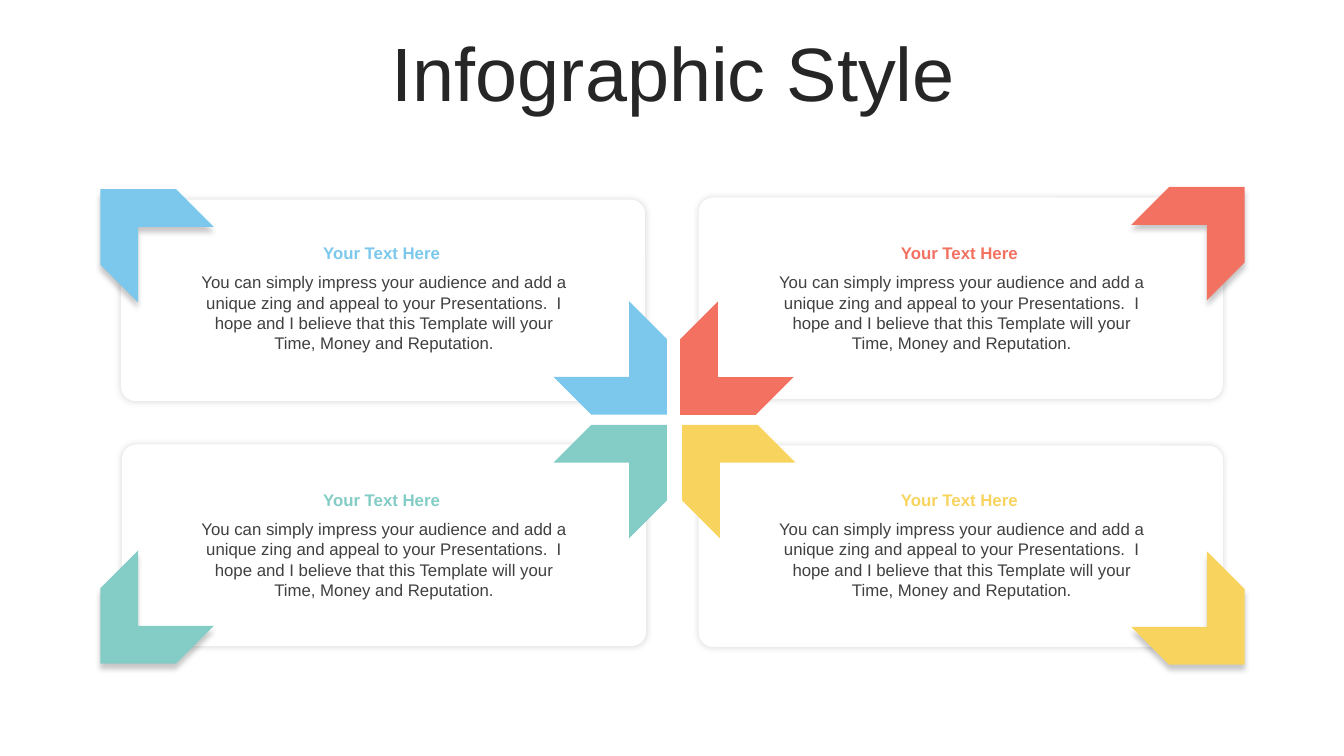
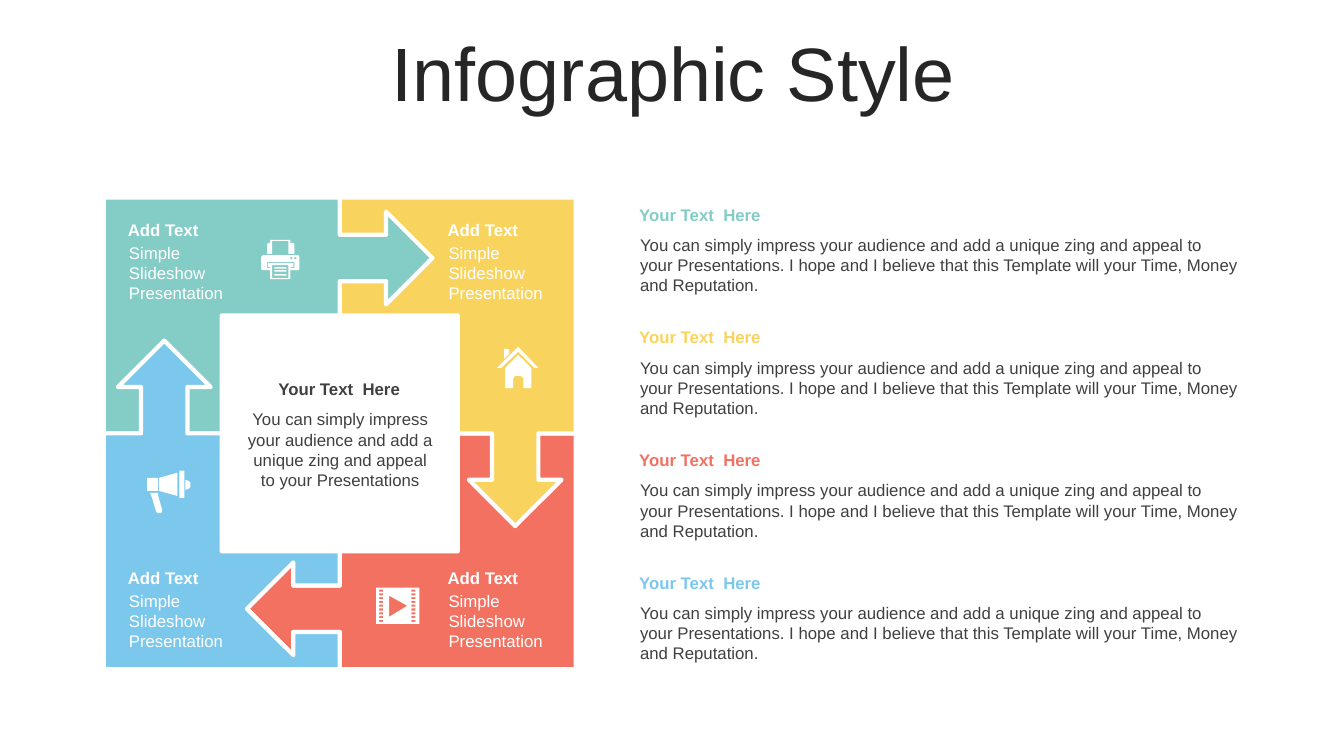
"""Build two infographic slides: four framed cards and a cycle of four arrows."""
from lxml import etree
from pptx import Presentation
from pptx.dml.color import RGBColor
from pptx.enum import shapes, text
from pptx.oxml import ns
from pptx.util import Inches, Pt

FONT = "Arial"
WHITE = RGBColor(0xFF, 0xFF, 0xFF)
TITLE_GRAY = RGBColor(0x26, 0x26, 0x26)
TEXT_GRAY = RGBColor(0x40, 0x40, 0x40)
TEAL = RGBColor(0x84, 0xCC, 0xC6)
BLUE = RGBColor(0x7C, 0xC8, 0xEC)
RED = RGBColor(0xF2, 0x71, 0x61)
YELLOW = RGBColor(0xF8, 0xD4, 0x5E)
LEFT, CENTER = text.PP_ALIGN.LEFT, text.PP_ALIGN.CENTER


def add_text(slide, box, content, color, size=12, bold=False, align=LEFT):
    """Add a wrapped one-paragraph text box and return it."""
    shape = slide.shapes.add_textbox(*map(Inches, box))
    shape.text_frame.word_wrap = True
    paragraph = shape.text_frame.paragraphs[0]
    paragraph.alignment = align
    run = paragraph.add_run()
    run.text = content
    run.font.name, run.font.size, run.font.bold = FONT, Pt(size), bold
    run.font.color.rgb = color
    return shape


def add_outline(slide, contours, fill):
    """Add one filled freeform made of closed contours given in inches."""
    builder = None
    for contour in contours:
        points = [(Inches(x), Inches(y)) for x, y in contour]
        if builder is None:
            builder = slide.shapes.build_freeform(*points[0])
        else:
            builder.move_to(*points[0])
        builder.add_line_segments(points[1:], close=True)
    shape = builder.convert_to_shape()
    shape.shadow.inherit = False
    shape.fill.solid()
    shape.fill.fore_color.rgb = fill
    shape.line.fill.background()
    return shape


presentation = Presentation()
presentation.slide_width, presentation.slide_height = Inches(13.33), Inches(7.5)
slides = [presentation.slides.add_slide(presentation.slide_layouts[6]) for _ in range(2)]
for slide in slides:
    title = add_text(slide, (0.35, 0.37, 12.66, 0.79), "Infographic Style", TITLE_GRAY, 54, align=CENTER)
    title.text_frame.vertical_anchor = text.MSO_ANCHOR.MIDDLE
    title.text_frame.paragraphs[0].line_spacing = 0.9
cards_slide, cycle_slide = slides

CARD_TEXT = ("You can simply impress your audience and add a unique zing and appeal to your "
             "Presentations.  I hope and I believe that this Template will your Time, Money and Reputation.")
CARD_SHADOW = (14, 5, 0, 0)
CORNER_SHADOW = (22, 4, 4, 90)
CHEVRON = 1.06
cards = [
    (TEAL, (1.21, 4.41), (5.71, 4.06), (0.84, 5.68), 315, (1.87, 5.1)),
    (BLUE, (1.2, 1.98), (5.71, 3.21), (0.84, 1.72), 45, (1.87, 2.65)),
    (RED, (6.93, 1.96), (6.59, 3.21), (11.44, 1.7), 135, (7.6, 2.65)),
    (YELLOW, (6.93, 4.42), (6.61, 4.06), (11.44, 5.69), 225, (7.6, 5.1)),
]
for color, card, inner, outer, angle, (text_left, text_top) in cards:
    parts = [
        (shapes.MSO_SHAPE.ROUNDED_RECTANGLE, (*card, 5.2, 2), 0.073, 0, WHITE, CARD_SHADOW),
        (shapes.MSO_SHAPE.CHEVRON, (*inner, CHEVRON, CHEVRON), 0.5, angle, color, None),
        (shapes.MSO_SHAPE.CHEVRON, (*outer, CHEVRON, CHEVRON), 0.5, (angle + 180) % 360, color, CORNER_SHADOW),
    ]
    for kind, box, adjustment, rotation, fill, shadow in parts:
        shape = cards_slide.shapes.add_shape(kind, *map(Inches, box))
        shape.adjustments[0] = adjustment
        shape.rotation = rotation
        shape.fill.solid()
        shape.fill.fore_color.rgb = fill
        shape.line.fill.background()
        shape.shadow.inherit = False
        if shadow:
            opacity, blur, distance, direction = shadow
            effects = shape.element.spPr.find(ns.qn("a:effectLst"))
            outer_shadow = etree.SubElement(
                effects, ns.qn("a:outerShdw"), blurRad=str(Pt(blur)), dist=str(Pt(distance)),
                dir=str(direction * 60000), algn="ctr", rotWithShape="0")
            shade = etree.SubElement(outer_shadow, ns.qn("a:srgbClr"), val="000000")
            etree.SubElement(shade, ns.qn("a:alpha"), val=str(opacity * 1000))
    add_text(cards_slide, (text_left, text_top, 3.88, 0.91), CARD_TEXT, TEXT_GRAY, align=CENTER)
    add_text(cards_slide, (text_left - 0.01, text_top - 0.29, 3.85, 0.3), "Your Text Here",
             color, bold=True, align=CENTER)

CENTER_X, CENTER_Y = 3.37, 4.3
HALF, HOLE = 2.34, 1.17
arrow = [(0, -1.97), (0.46, -1.97), (0.46, -2.2), (0.92, -1.74), (0.46, -1.28), (0.46, -1.51), (0, -1.51)]
notch = [(y, -x) for x, y in reversed(arrow)]
for color, quarter_turns in [(RED, 2), (YELLOW, 1), (TEAL, 0), (BLUE, 3)]:
    piece = [(-HALF, -HALF), (0, -HALF), *arrow, (0, -HOLE), (-HOLE, -HOLE), (-HOLE, 0)]
    piece += notch if color == BLUE else []
    piece.append((-HALF, 0))
    for _ in range(quarter_turns):
        piece = [(-y, x) for x, y in piece]
    shape = add_outline(cycle_slide, [[(CENTER_X + x, CENTER_Y + y) for x, y in piece]], color)
    shape.line.color.rgb = WHITE
    shape.line.width = Pt(3)

for left in (1.17, 4.34):
    for top in (2.13, 5.58):
        add_text(cycle_slide, (left, top, 1.21, 0.3), "Add Text", WHITE, bold=True)
        add_text(cycle_slide, (left + 0.01, top + 0.23, 1.21, 0.71), "Simple Slideshow Presentation", WHITE)

add_text(cycle_slide, (2.35, 4.01, 2.05, 0.91),
         "You can simply impress your audience and add a unique zing and appeal to your Presentations",
         TEXT_GRAY, align=CENTER)
add_text(cycle_slide, (2.35, 3.71, 2.03, 0.3), "Your Text  Here", TEXT_GRAY, bold=True, align=CENTER)

LIST_TEXT = ("You can simply impress your audience and add a unique zing and appeal to  your "
             "Presentations. I hope and I believe that this Template will your Time, Money and Reputation.")
for row, color in enumerate((TEAL, YELLOW, RED, BLUE)):
    top = 1.98 + row * 3.65 / 3
    add_text(cycle_slide, (6.25, top + 0.3, 6.14, 0.71), LIST_TEXT, TEXT_GRAY)
    add_text(cycle_slide, (6.24, top, 6.15, 0.3), "Your Text  Here", color, bold=True)

printer_boxes = [(2.72, y, 2.84, y + 0.015) for y in (2.65, 2.68, 2.72)]
printer_boxes += [(x, 2.55, x + 0.02, 2.57) for x in (2.88, 2.92)] + [(2.7, 2.63, 2.86, 2.76)]
printer_outlines = [
    [(2.65, 2.6), (2.65, 2.66), (2.68, 2.66), (2.68, 2.65), (2.66, 2.65), (2.66, 2.61),
     (2.91, 2.61), (2.91, 2.65), (2.88, 2.65), (2.88, 2.66), (2.92, 2.66), (2.92, 2.6)],
    [(2.61, 2.53), (2.96, 2.53), (2.97, 2.55), (2.97, 2.67), (2.96, 2.68), (2.88, 2.68),
     (2.88, 2.77), (2.68, 2.77), (2.68, 2.68), (2.61, 2.68), (2.59, 2.67), (2.59, 2.55)],
    [(2.68, 2.38), (2.88, 2.38), (2.88, 2.41), (2.91, 2.41), (2.92, 2.42), (2.92, 2.52), (2.86, 2.52),
     (2.86, 2.39), (2.7, 2.39), (2.7, 2.52), (2.65, 2.52), (2.65, 2.42), (2.66, 2.41), (2.68, 2.41)],
]
house_outlines = [
    [(5.14, 3.52), (5.27, 3.65), (5.27, 3.85), (5.19, 3.85), (5.19, 3.76), (5.18, 3.74), (5.16, 3.73),
     (5.11, 3.73), (5.1, 3.74), (5.09, 3.76), (5.09, 3.85), (5.01, 3.85), (5.01, 3.65)],
    [(5, 3.46), (5.05, 3.46), (5.05, 3.51), (5, 3.56)],
    [(5.14, 3.44), (5.34, 3.65), (5.3, 3.65), (5.14, 3.49), (4.97, 3.65), (4.93, 3.65)],
]
megaphone_boxes = [(1.46, 4.74, 1.57, 4.87), (1.78, 4.67, 1.83, 4.94)]
megaphone_outlines = [
    [(1.49, 4.89), (1.57, 4.89), (1.57, 4.92), (1.61, 5.06), (1.61, 5.08), (1.59, 5.09),
     (1.57, 5.09), (1.55, 5.08), (1.51, 4.94), (1.5, 4.92)],
    [(1.84, 4.76), (1.87, 4.77), (1.89, 4.79), (1.89, 4.83), (1.87, 4.85), (1.84, 4.86)],
    [(1.76, 4.69), (1.76, 4.92), (1.58, 4.87), (1.58, 4.74)],
]
film_boxes = [(3.73, 5.83, 4.16, 6.19)]
film_boxes += [(x, 5.85 + hole * 0.3 / 8, x + 0.04, 5.87 + hole * 0.3 / 8)
               for x in (3.76, 4.08) for hole in range(9)]
film_outlines = [[(3.86, 5.91), (3.86, 6.12), (4.04, 6.01)]]
icons = [(printer_outlines, printer_boxes), (house_outlines, []),
         (megaphone_outlines, megaphone_boxes), (film_outlines, film_boxes)]
for outlines, boxes in icons:
    rectangles = [[(left, top), (right, top), (right, bottom), (left, bottom)]
                  for left, top, right, bottom in boxes]
    add_outline(cycle_slide, outlines + rectangles, WHITE)

presentation.save("out.pptx")
